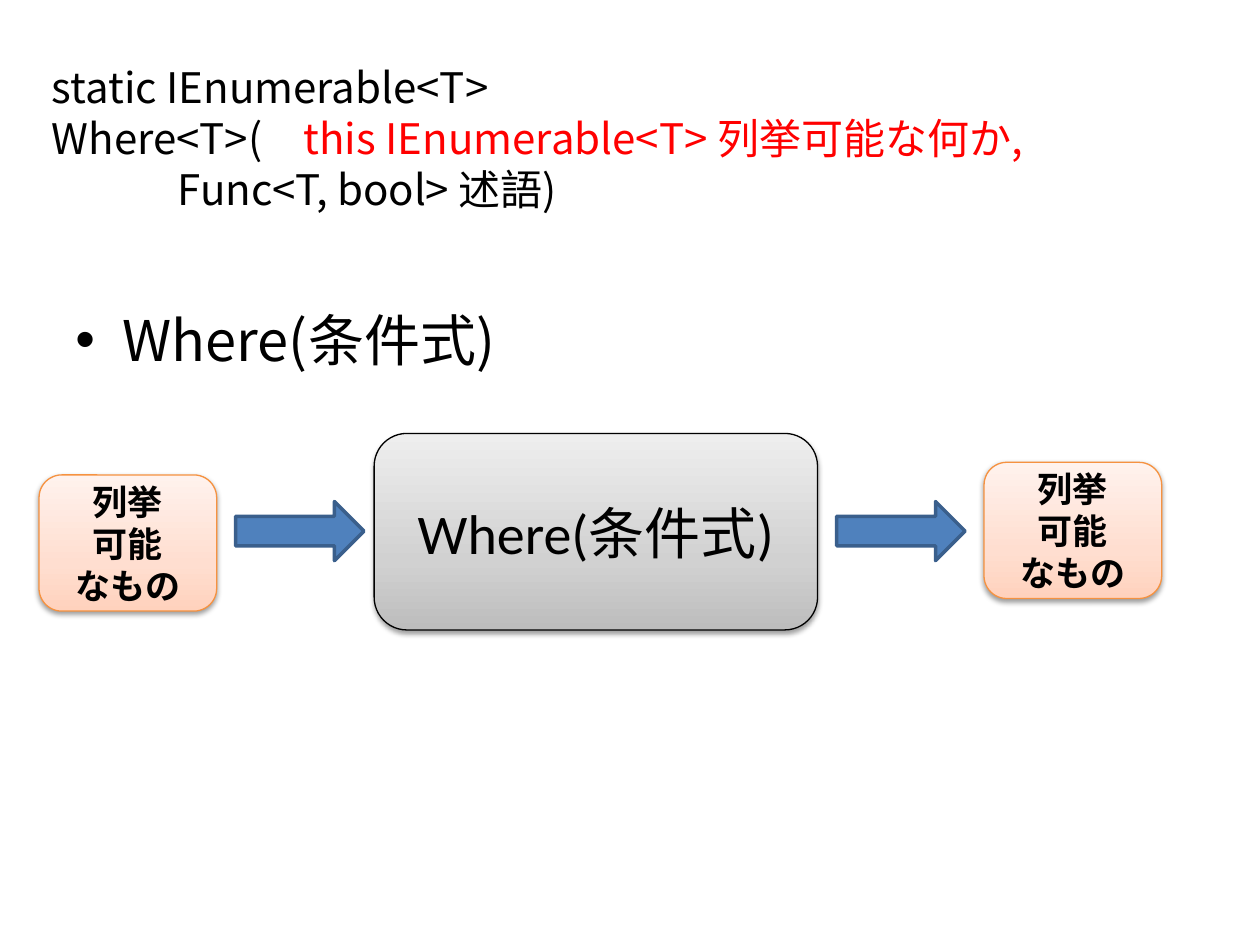
"""Builds a slide that explains the Where operator as a pipeline."""
from copy import deepcopy

from lxml import etree
from pptx import Presentation, util as u
from pptx.dml.color import RGBColor
from pptx.enum import shapes, text
from pptx.oxml.ns import qn

CJK, LATIN = "Noto Sans CJK JP", "Calibri"
BLACK, RED = "000000", "FF0000"
SIGNATURE = [
    ("static IEnumerable<T>\nWhere<T>(\t", BLACK),
    ("this IEnumerable<T> 列挙可能な何か,\n\t\t", RED),
    ("Func<T, bool> 述語)", BLACK),
]
CALL = [("Where(条件式)", BLACK)]
SEQUENCE = [("列挙\n可能\nなもの", BLACK)]
GREY = dict(stops=[(0, "BDBDBD"), (0.35, "D1D1D1"), (1, "EEEEEE")], line=BLACK)
ORANGE = dict(stops=[(0, "FFD2BD"), (0.35, "FFDED0"), (1, "FFF2ED")], line="F69240")
BOXES = [
    (CALL, (213.8, 247.7, 253.4, 112.3), GREY, dict(size=32)),
    (SEQUENCE, (22.3, 271.4, 101.5, 77.8), ORANGE, dict(size=20, bold=True)),
    (SEQUENCE, (562.3, 264.2, 101.5, 77.8), ORANGE, dict(size=20, bold=True)),
]
ARROW_LEFTS = (134.6, 478.1)
ARROW_TOP, ARROW_WIDTH, ARROW_HEIGHT = 286.6, 73.4, 33.8


def rgb(value):
    """Turn a hex string into a colour."""
    return RGBColor.from_string(value)


def points(*lengths):
    """Turn numbers into lengths in points."""
    return [u.Pt(length) for length in lengths]


def write(frame, pieces, size, font=LATIN, bold=False, align=text.PP_ALIGN.CENTER,
          anchor=text.MSO_ANCHOR.MIDDLE, spacing=None):
    """Fill a frame with one paragraph of coloured pieces."""
    frame.word_wrap = True
    frame.auto_size = text.MSO_AUTO_SIZE.NONE
    frame.vertical_anchor = anchor
    paragraph = frame.paragraphs[0]
    paragraph.alignment = align
    if spacing:
        paragraph.line_spacing = u.Pt(spacing)
    for words, color in pieces:
        for index, line in enumerate(words.split("\n")):
            if index:
                paragraph.add_line_break()
            run = paragraph.add_run()
            run.text = line
            run.font.size, run.font.bold, run.font.name = u.Pt(size), bold, font
            run.font.color.rgb = rgb(color)
            etree.SubElement(run.font._element, qn("a:ea"), typeface=CJK)
    return paragraph


def add_bullet(paragraph, indent):
    """Give a paragraph a hanging bullet."""
    properties = paragraph._p.get_or_add_pPr()
    properties.set("marL", str(u.Pt(indent)))
    properties.set("indent", str(-u.Pt(indent)))
    etree.SubElement(properties, qn("a:buFont"), typeface="Arial")
    etree.SubElement(properties, qn("a:buChar"), char="•")


def add_shape(slide, kind, place, line, width):
    """Add an outlined preset shape without a shadow."""
    shape = slide.shapes.add_shape(kind, *points(*place))
    shape.shadow.inherit = False
    shape.line.color.rgb = rgb(line)
    shape.line.width = u.Pt(width)
    return shape


def add_gradient(shape, stops):
    """Fill a shape with three stops that run upwards."""
    shape.fill.gradient()
    shape.fill.gradient_angle = 90
    stop_list = shape._element.spPr.find(".//" + qn("a:gsLst"))
    stop_list.append(deepcopy(stop_list[0]))
    for stop, (position, color) in zip(shape.fill.gradient_stops, stops):
        stop.position = position
        stop.color.rgb = rgb(color)


def add_shadow(shape):
    """Put a soft shadow below a shape."""
    effects = shape._element.spPr.find(qn("a:effectLst"))
    shadow = etree.SubElement(effects, qn("a:outerShdw"), blurRad=str(u.Pt(3.1)),
                              dist=str(u.Pt(1.6)), dir="5400000", rotWithShape="0")
    color = etree.SubElement(shadow, qn("a:srgbClr"), val=BLACK)
    etree.SubElement(color, qn("a:alpha"), val="38000")


def main():
    """Build and save the slide."""
    deck = Presentation()
    deck.slide_width, deck.slide_height = points(720, 540)
    slide = deck.slides.add_slide(deck.slide_layouts[5])

    title = slide.shapes.title
    title.left, title.top, title.width, title.height = points(22.3, 16.6, 697.7, 123.8)
    write(title.text_frame, SIGNATURE, 24, CJK, align=text.PP_ALIGN.LEFT, spacing=29)

    body = slide.shapes.add_textbox(*points(36, 168.5, 648, 313.9))
    bullet = write(body.text_frame, CALL, 32, CJK, align=text.PP_ALIGN.LEFT,
                   anchor=text.MSO_ANCHOR.TOP, spacing=41)
    add_bullet(bullet, 27)

    for pieces, place, look, style in BOXES:
        box = add_shape(slide, shapes.MSO_SHAPE.ROUNDED_RECTANGLE, place, look["line"], 0.75)
        add_gradient(box, look["stops"])
        add_shadow(box)
        write(box.text_frame, pieces, **style)

    for left in ARROW_LEFTS:
        place = (left, ARROW_TOP, ARROW_WIDTH, ARROW_HEIGHT)
        arrow = add_shape(slide, shapes.MSO_SHAPE.RIGHT_ARROW, place, "3A5F8C", 2)
        arrow.fill.solid()
        arrow.fill.fore_color.rgb = rgb("4F81BD")

    deck.save("out.pptx")


if __name__ == "__main__":
    main()
